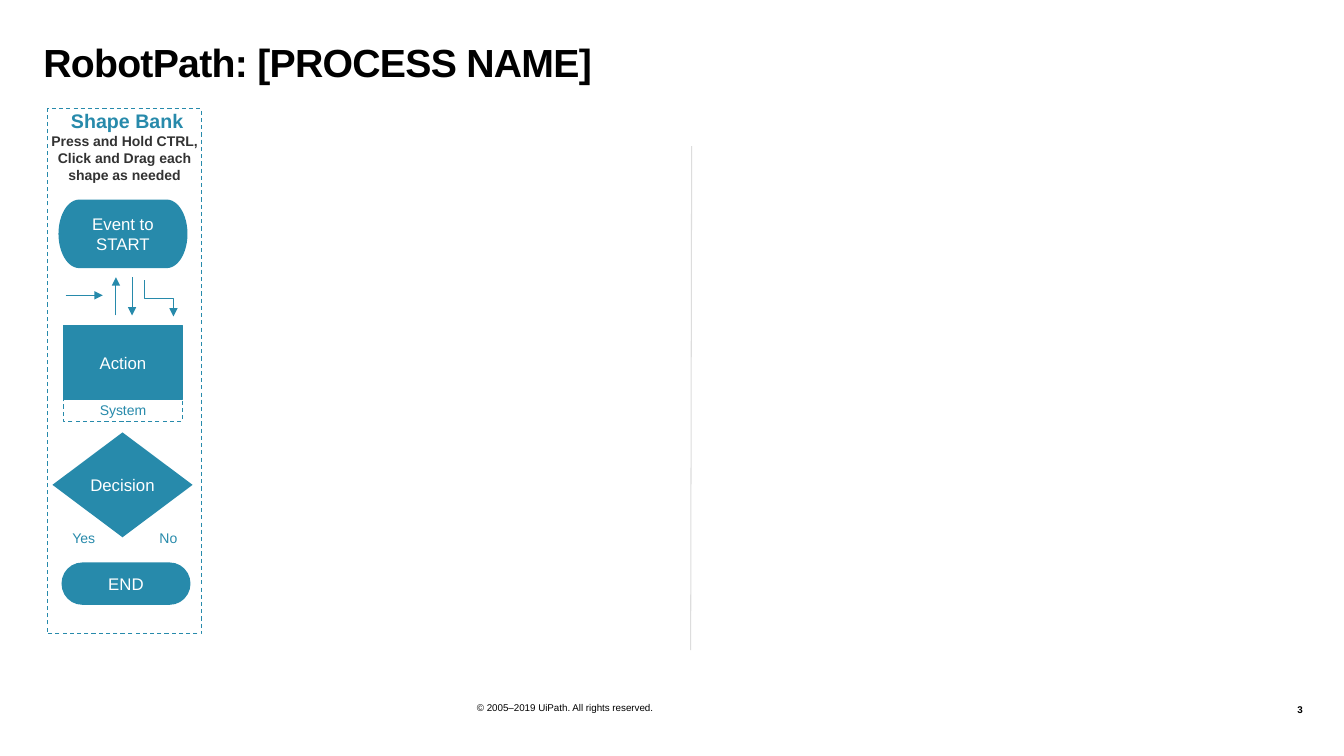
from dataclasses import dataclass
from typing import Optional

from lxml.etree import SubElement
from pptx import Presentation
from pptx.dml.color import RGBColor
from pptx.enum.dml import MSO_LINE
from pptx.enum.shapes import MSO_CONNECTOR, MSO_SHAPE
from pptx.enum.text import MSO_ANCHOR, PP_ALIGN
from pptx.oxml.ns import qn
from pptx.util import Emu, Pt

PX = 9144  # 100 px to the inch
FONT = "Arial"
COLORS = {"teal": "278AAB", "white": "FFFFFF", "black": "000000",
          "gray": "333333", "divider": "DDDDDD"}


@dataclass(frozen=True)
class Line:
    text: str
    size: int
    color: str
    bold: bool = False


@dataclass(frozen=True)
class Box:
    left: int
    top: int
    width: int
    height: int
    lines: tuple[Line, ...]
    preset: Optional[MSO_SHAPE] = None  # None gives a plain text box
    fill: Optional[str] = None
    outline: Optional[str] = None
    dashed: bool = False
    align: PP_ALIGN = PP_ALIGN.CENTER
    anchor: MSO_ANCHOR = MSO_ANCHOR.MIDDLE


@dataclass(frozen=True)
class Arrow:
    x1: int
    y1: int
    x2: int
    y2: int
    color: str = "teal"
    head: bool = True
    elbow: bool = False  # leaves downwards, then across, then down


def px(length: int) -> Emu:
    return Emu(length * PX)


def rgb(name: str) -> RGBColor:
    return RGBColor.from_string(COLORS[name])


def draw_box(shapes, box: Box):
    area = [px(n) for n in (box.left, box.top, box.width, box.height)]
    if box.preset is None:
        shape = shapes.add_textbox(*area)
    else:
        shape = shapes.add_shape(box.preset, *area)
        shape.shadow.inherit = False
        if box.fill:
            shape.fill.solid()
            shape.fill.fore_color.rgb = rgb(box.fill)
        else:
            shape.fill.background()
        if box.outline:
            shape.line.color.rgb = rgb(box.outline)
            shape.line.width = Pt(0.75)
            if box.dashed:
                shape.line.dash_style = MSO_LINE.DASH
        else:
            shape.line.fill.background()

    frame = shape.text_frame
    frame.word_wrap = True
    frame.vertical_anchor = box.anchor
    frame.margin_left = frame.margin_right = 0
    frame.margin_top = frame.margin_bottom = 0
    for index, line in enumerate(box.lines):
        paragraph = frame.add_paragraph() if index else frame.paragraphs[0]
        paragraph.text = line.text
        paragraph.alignment = box.align
        font = paragraph.font
        font.name, font.size, font.bold = FONT, Pt(line.size), line.bold
        font.color.rgb = rgb(line.color)
    return shape


def draw_arrow(shapes, arrow: Arrow) -> None:
    x1, y1, x2, y2 = (px(n) for n in (arrow.x1, arrow.y1, arrow.x2, arrow.y2))
    kind = MSO_CONNECTOR.STRAIGHT
    if arrow.elbow:
        # Swap the sides about the centre; the quarter turn below restores them
        kind = MSO_CONNECTOR.ELBOW
        center_x, center_y = (x1 + x2) // 2, (y1 + y2) // 2
        half_width, half_height = (y2 - y1) // 2, (x2 - x1) // 2
        x1, x2 = center_x + half_width, center_x - half_width
        y1, y2 = center_y - half_height, center_y + half_height
    connector = shapes.add_connector(kind, Emu(x1), Emu(y1), Emu(x2), Emu(y2))
    connector.line.color.rgb = rgb(arrow.color)
    connector.line.width = Pt(0.75)
    properties = connector._element.spPr
    if arrow.elbow:
        properties.find(qn("a:xfrm")).set("rot", str(270 * 60000))
    if arrow.head:
        SubElement(properties.find(qn("a:ln")), qn("a:tailEnd"), type="triangle")
    SubElement(properties, qn("a:effectLst"))


def flow_shape(left: int, top: int, width: int, height: int, text: str,
               preset: MSO_SHAPE, outline: Optional[str] = None) -> Box:
    return Box(left, top, width, height, (Line(text, 12, "white"),),
               preset, "teal", outline)


def branch_label(left: int, text: str) -> Box:
    return Box(left, 515, 60, 37, (Line(text, 10, "teal"),))


TITLE = Box(43, 45, 1250, 100, (Line("RobotPath: [PROCESS NAME]", 28, "black", True),),
            align=PP_ALIGN.LEFT, anchor=MSO_ANCHOR.TOP)
FOOTER = (
    Box(1203, 697, 89, 13, (Line("3", 7, "black", True),), align=PP_ALIGN.RIGHT),
    Box(473, 696, 211, 13,
        (Line("© 2005–2019 UiPath. All rights reserved.", 7, "black"),),
        align=PP_ALIGN.LEFT),
)
DIVIDER = Arrow(686, 145, 685, 645, "divider", head=False)
SHAPE_BANK = (
    Box(47, 108, 153, 521,
        (Line(" Shape Bank", 14, "teal", True),
         Line("Press and Hold CTRL, Click and Drag each shape as needed",
              10, "gray", True)),
        MSO_SHAPE.RECTANGLE, outline="teal", dashed=True, anchor=MSO_ANCHOR.TOP),
    flow_shape(58, 198, 128, 68, "Event to START", MSO_SHAPE.FLOWCHART_TERMINATOR),
    flow_shape(52, 429, 139, 104, "Decision", MSO_SHAPE.DIAMOND),
    flow_shape(61, 558, 128, 42, "END", MSO_SHAPE.FLOWCHART_TERMINATOR),
    branch_label(53, "Yes"),
    branch_label(137, "No"),
)
ACTION_WITH_SYSTEM = (
    flow_shape(63, 323, 118, 73, "Action", MSO_SHAPE.RECTANGLE, "teal"),
    Box(63, 396, 118, 22, (Line("System", 10, "teal"),),
        MSO_SHAPE.RECTANGLE, outline="teal", dashed=True),
)
ARROWS = (
    Arrow(65, 293, 102, 293),
    Arrow(115, 313, 115, 275),
    Arrow(131, 275, 131, 313),
    Arrow(143, 278, 172, 314, elbow=True),
)


def main() -> None:
    presentation = Presentation()
    presentation.slide_width, presentation.slide_height = px(1333), px(750)
    slide = presentation.slides.add_slide(presentation.slide_layouts[6])
    shapes = slide.shapes

    # Title, set tight
    title = draw_box(shapes, TITLE).text_frame.paragraphs[0]
    title.line_spacing = 0.85
    title._p.pPr.find(qn("a:defRPr")).set("spc", "-50")

    # Footer and centre divider
    for box in FOOTER:
        draw_box(shapes, box)
    draw_arrow(shapes, DIVIDER)

    # Shape bank, with the action and its system kept together
    for box in SHAPE_BANK:
        draw_box(shapes, box)
    action_group = shapes.add_group_shape()
    for box in ACTION_WITH_SYSTEM:
        draw_box(action_group.shapes, box)
    for arrow in ARROWS:
        draw_arrow(shapes, arrow)

    presentation.save("out.pptx")


if __name__ == "__main__":
    main()
